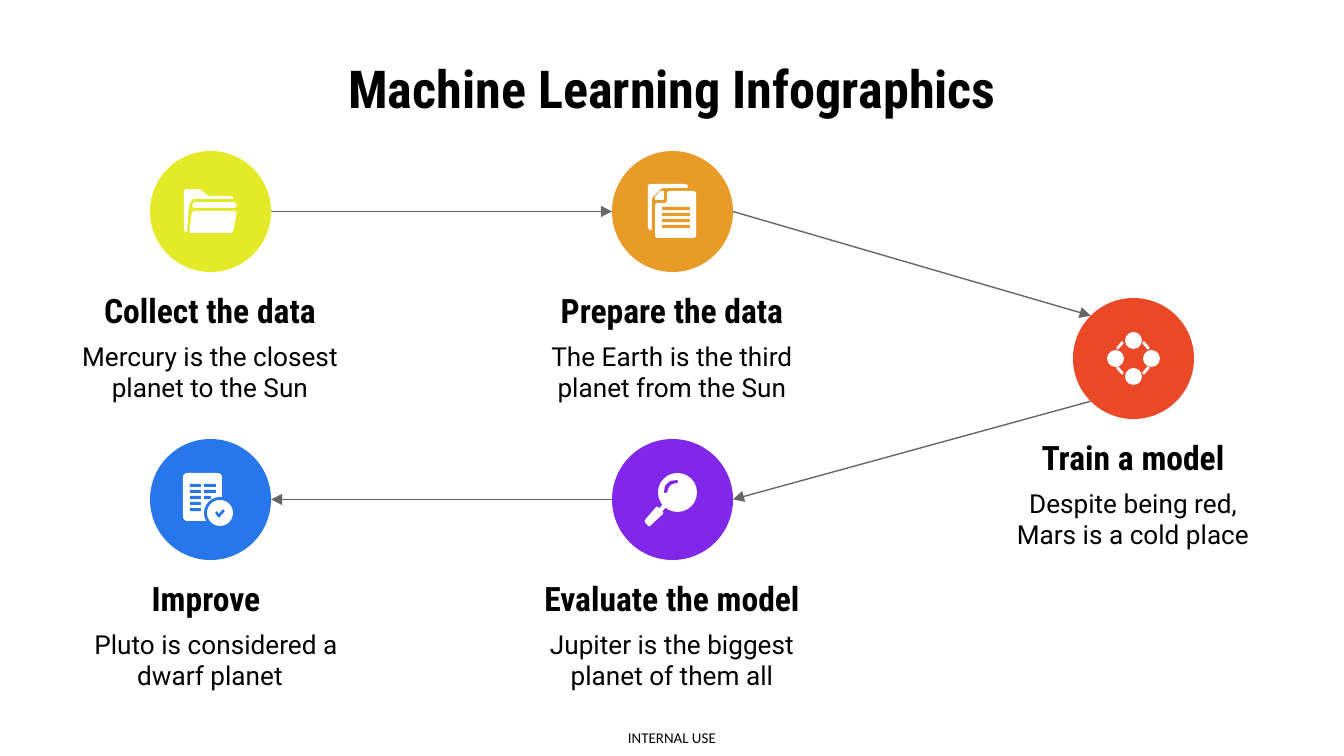
"""Build a slide of five machine learning steps joined by arrows."""
import math
from dataclasses import dataclass

import pptx
import pptx.dml.color
import pptx.enum.shapes
import pptx.enum.text
import pptx.oxml
import pptx.oxml.ns
import pptx.util

EMU_PER_PX = 914400 / 134.4
DISC = 121
INSET = 13
COLORS = {
    "black": "000000", "white": "FFFFFF", "arrow": "666666",
    "yellow": "E4EA27", "orange": "E99B27", "red": "EA4827",
    "purple": "8027EA", "blue": "2776EA",
}


@dataclass(frozen=True)
class Outline:
    points: tuple[tuple[int, int], ...]
    radius: int = 3
    cut: bool = False


@dataclass(frozen=True)
class Dot:
    left: int
    top: int
    size: int
    cut: bool = False


@dataclass(frozen=True)
class Step:
    left: int
    top: int
    color: str
    heading: str
    detail: str
    icon: tuple[Outline | Dot, ...]
    heading_shift: int = 0
    indent: int = 0


@dataclass(frozen=True)
class Style:
    font: str
    size: int
    bold: bool = False


TITLE = Style("Roboto Condensed", 28, True)
HEADING = Style("Roboto Condensed", 18, True)
DETAIL = Style("Roboto", 14)
FOOTER = Style("Calibri", 8)


def px(length: float) -> pptx.util.Emu:
    return pptx.util.Emu(round(length * EMU_PER_PX))


def rgb(name: str) -> pptx.dml.color.RGBColor:
    return pptx.dml.color.RGBColor.from_string(COLORS[name])


def text_line(left: int, top: int, width: int) -> Outline:
    right, bottom = left + width, top + 3
    return Outline(((left, top), (right, top), (right, bottom), (left, bottom)), 1, True)


def network_link(across: int, down: int) -> Outline:
    offsets = ((-17, -10), (-11, -17), (-9, -15), (-15, -8))
    return Outline(tuple((60 + across * x, 60 + down * y) for x, y in offsets), 1)


FOLDER = (
    Outline(((34, 38), (50, 38), (58, 45), (82, 45), (84, 48), (42, 48),
             (39, 55), (37, 82), (34, 80))),
    Outline(((43, 51), (86, 51), (87, 57), (42, 57))),
    Outline(((42, 60), (87, 60), (83, 82), (39, 82))),
)
DOCUMENT = (
    Outline(((36, 33), (75, 33), (77, 37), (50, 37), (40, 47), (40, 80), (36, 78))),
    Outline(((55, 40), (84, 40), (84, 87), (43, 87), (43, 52), (55, 52))),
    Outline(((52, 40), (52, 49), (43, 49), (43, 46), (48, 40)), 1),
    *(text_line(50, 56 + 6 * row, 28) for row in range(4)),
)
NETWORK = (
    *(Dot(x, y, 17) for x, y in ((52, 34), (34, 52), (70, 52), (52, 70))),
    *(network_link(across, down) for across in (1, -1) for down in (1, -1)),
)
MAGNIFIER = (
    Dot(46, 34, 39),
    Outline(((52, 54), (53, 47), (58, 42), (66, 41), (66, 44), (60, 45),
             (57, 48), (55, 54)), 2, True),
    Outline(((47, 70), (52, 64), (55, 67), (50, 73)), 1),
    Outline(((45, 67), (52, 74), (37, 88), (32, 82)), 2),
)
CHECKLIST = (
    Outline(((33, 34), (72, 34), (72, 82), (33, 82)), 5),
    *(text_line(40, 45 + 6 * row, 11) for row in range(5)),
    *(text_line(54, 45 + 6 * row, width) for row, width in enumerate((12, 12, 7))),
    Dot(54, 58, 32, True),
    Dot(57, 61, 26),
    Outline(((65, 74), (67, 72), (69, 75), (73, 70), (75, 72), (69, 79)), 1, True),
)

STEPS = (
    Step(150, 151, "yellow", "Collect the data",
         "Mercury is the closest planet to the Sun", FOLDER),
    Step(612, 151, "orange", "Prepare the data",
         "The Earth is the third planet from the Sun", DOCUMENT),
    Step(1073, 298, "red", "Train a model",
         "Despite being red, Mars is a cold place", NETWORK),
    Step(612, 439, "purple", "Evaluate the model",
         "Jupiter is the biggest planet of them all", MAGNIFIER),
    Step(150, 439, "blue", "Improve",
         "Pluto is considered a dwarf planet", CHECKLIST, -4, 12),
)
ARROW_ANGLES = ((0, 180), (0, 225), (135, 0), (180, 0))


def paint(shape, color: str) -> None:
    shape.shadow.inherit = False
    shape.fill.solid()
    shape.fill.fore_color.rgb = rgb(color)
    shape.line.fill.background()


def draw_dot(slide, left: int, top: int, size: int, color: str) -> None:
    dot = slide.shapes.add_shape(
        pptx.enum.shapes.MSO_SHAPE.OVAL, px(left), px(top), px(size), px(size))
    paint(dot, color)


def rounded(outline: Outline) -> list[tuple[float, float]]:
    curve = []
    points = outline.points
    for index, corner in enumerate(points):
        ends = []
        for neighbour in (points[index - 1], points[(index + 1) % len(points)]):
            length = math.dist(corner, neighbour)
            share = min(outline.radius / length, 0.5)
            ends.append([c + (n - c) * share for c, n in zip(corner, neighbour)])
        for part in range(6):
            t = part / 5
            curve.append(tuple(
                (1 - t) ** 2 * a + 2 * t * (1 - t) * c + t ** 2 * b
                for a, c, b in zip(ends[0], corner, ends[1])))
    return curve


def draw_outline(slide, outline: Outline, left: int, top: int, color: str) -> None:
    points = [(px(left + x), px(top + y)) for x, y in rounded(outline)]
    builder = slide.shapes.build_freeform(*points[0])
    builder.add_line_segments(points[1:])
    paint(builder.convert_to_shape(), color)


def write(shape, text: str, style: Style, inset: int = INSET, indent: int = 0) -> None:
    frame = shape.text_frame
    frame.word_wrap = True
    frame.auto_size = pptx.enum.text.MSO_AUTO_SIZE.NONE
    frame.vertical_anchor = pptx.enum.text.MSO_ANCHOR.MIDDLE
    frame.margin_left = frame.margin_right = px(inset)
    frame.margin_top = frame.margin_bottom = px(inset)
    frame.text = text
    paragraph = frame.paragraphs[0]
    paragraph.alignment = pptx.enum.text.PP_ALIGN.CENTER
    paragraph.font.name = style.font
    paragraph.font.size = pptx.util.Pt(style.size)
    paragraph.font.bold = style.bold
    paragraph.font.color.rgb = rgb("black")
    if indent:
        paragraph._p.get_or_add_pPr().set("indent", str(px(indent)))


def draw_step(slide, step: Step) -> None:
    draw_dot(slide, step.left, step.top, DISC, step.color)
    for part in step.icon:
        color = step.color if part.cut else "white"
        if isinstance(part, Dot):
            draw_dot(slide, step.left + part.left, step.top + part.top, part.size, color)
        else:
            draw_outline(slide, part, step.left, step.top, color)
    heading = slide.shapes.add_textbox(
        px(step.left - 83 + step.heading_shift), px(step.top + 135), px(286), px(48))
    write(heading, step.heading, HEADING)
    detail = slide.shapes.add_textbox(
        px(step.left - 83), px(step.top + 185), px(286), px(71))
    write(detail, step.detail, DETAIL, indent=step.indent)


def rim(step: Step, angle: int) -> tuple[pptx.util.Emu, pptx.util.Emu]:
    radius, turn = DISC / 2, math.radians(angle)
    return (px(step.left + radius * (1 + math.cos(turn))),
            px(step.top + radius * (1 + math.sin(turn))))


def draw_arrow(slide, source: Step, target: Step, angles: tuple[int, int]) -> None:
    arrow = slide.shapes.add_connector(
        pptx.enum.shapes.MSO_CONNECTOR.STRAIGHT,
        *rim(source, angles[0]), *rim(target, angles[1]))
    arrow.line.color.rgb = rgb("arrow")
    arrow.line.width = pptx.util.Pt(0.75)
    properties = arrow._element.spPr
    head = pptx.oxml.parse_xml(
        f'<a:tailEnd {pptx.oxml.ns.nsdecls("a")} type="triangle" w="med" len="med"/>')
    properties.find(pptx.oxml.ns.qn("a:ln")).append(head)
    properties.append(pptx.oxml.parse_xml(f'<a:effectLst {pptx.oxml.ns.nsdecls("a")}/>'))


def main() -> None:
    deck = pptx.Presentation()
    deck.slide_width, deck.slide_height = px(1344), px(756)
    slide = deck.slides.add_slide(deck.slide_layouts[5])
    title = slide.shapes.title
    title.left, title.top, title.width, title.height = px(67), px(60), px(1210), px(55)
    write(title, "Machine Learning Infographics", TITLE)
    for step in STEPS:
        draw_step(slide, step)
    for source, target, angles in zip(STEPS, STEPS[1:], ARROW_ANGLES):
        draw_arrow(slide, source, target, angles)
    footer = slide.shapes.add_textbox(px(622), px(729), px(100), px(18))
    write(footer, "INTERNAL USE", FOOTER, inset=0)
    deck.save("out.pptx")


if __name__ == "__main__":
    main()
